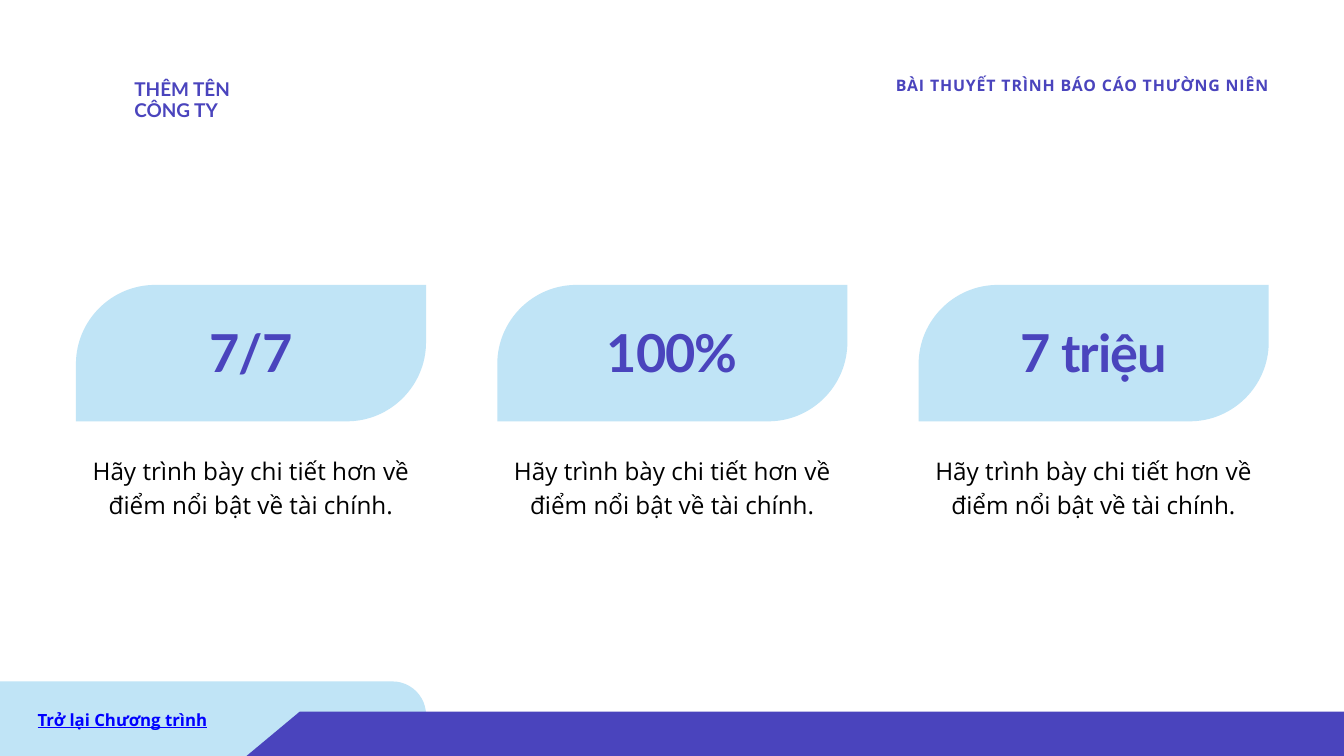
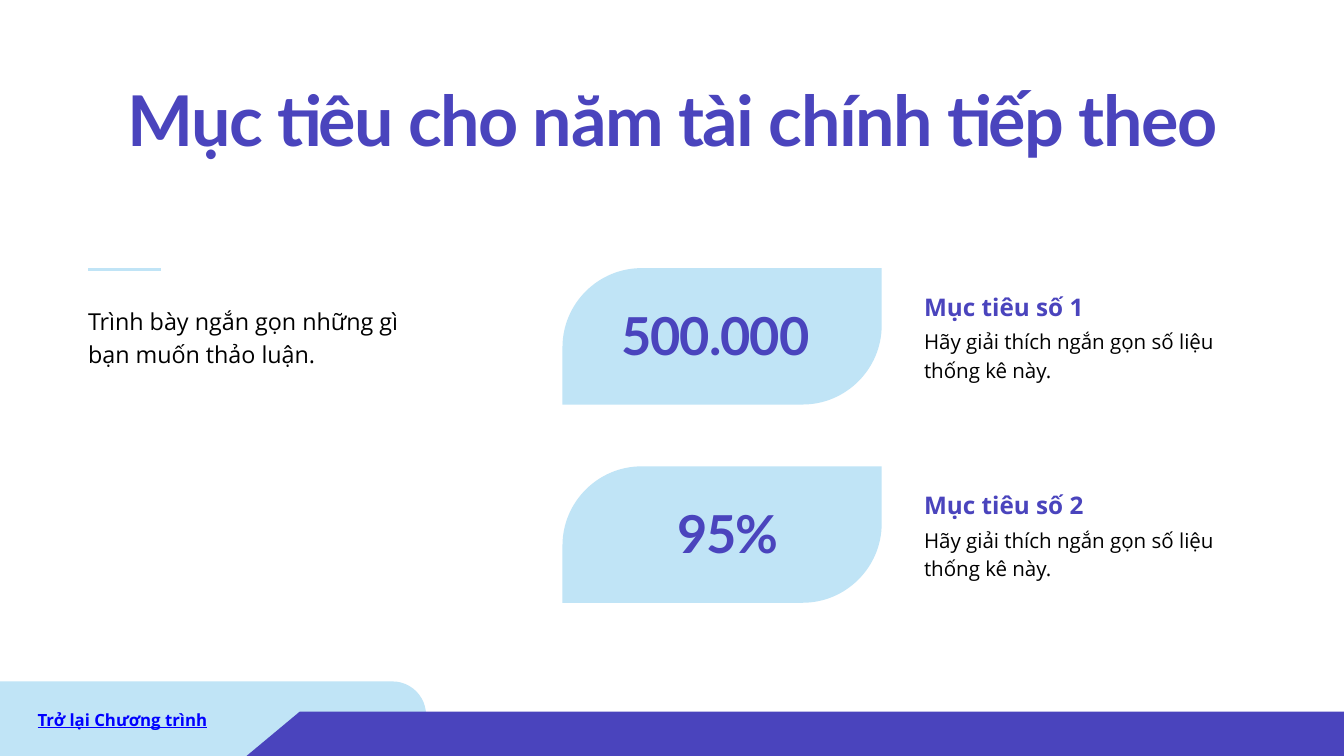
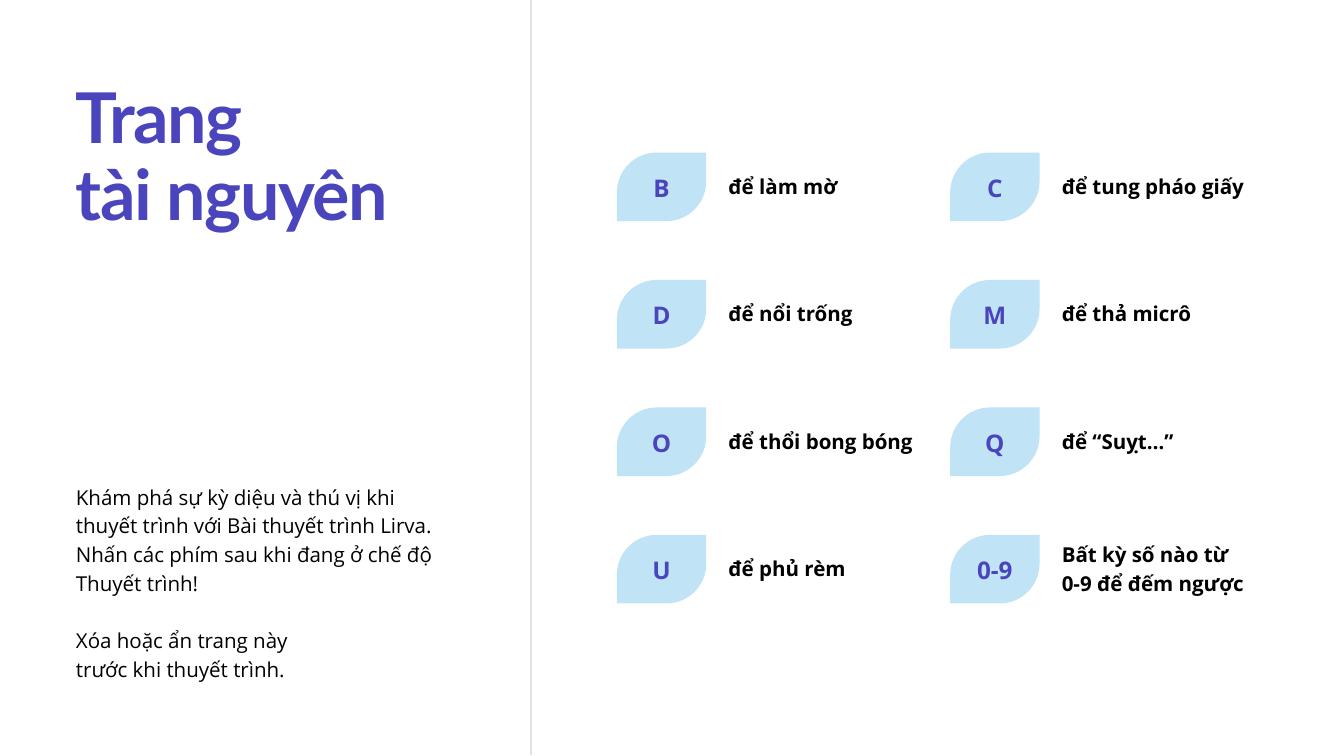
"""Build three annual-report slides: highlights, goals and presenter shortcuts."""
from lxml.etree import SubElement
from pptx import Presentation
from pptx.dml.color import RGBColor
from pptx.enum.shapes import MSO_CONNECTOR, MSO_SHAPE as SHAPE
from pptx.enum.text import MSO_ANCHOR, MSO_AUTO_SIZE, PP_ALIGN as ALIGN
from pptx.oxml.ns import qn
from pptx.util import Inches, Pt

INDIGO = RGBColor(0x4A, 0x44, 0xBD)
SKY = RGBColor(0xC0, 0xE4, 0xF6)
LINK = RGBColor(0x00, 0x00, 0xFF)
BLACK = RGBColor(0x00, 0x00, 0x00)
RULE = RGBColor(0xE1, 0xE1, 0xE1)
FONT_KEYS = ("name", "size", "color", "bold", "underline")
STYLES = {
    "title": dict(name="Lato", size=75, color=INDIGO, bold=True, line=82.5, tracking=-150),
    "figure": dict(name="Lato", size=56, color=INDIGO, bold=True, line=61.6, tracking=-110),
    "company": dict(name="Lato", size=20.3, color=INDIGO, bold=True, line=22.3),
    "header": dict(name="Open Sans", size=17, color=INDIGO, bold=True, line=20.4, tracking=90),
    "link": dict(name="Open Sans", size=18, color=LINK, bold=True, underline=True, line=23.4),
    "detail": dict(name="Open Sans", size=26, color=BLACK, bold=False, line=36.4),
    "intro": dict(name="Open Sans", size=25, color=BLACK, bold=False, line=35),
    "heading": dict(name="Open Sans", size=26, color=INDIGO, bold=True, line=36.4),
    "body": dict(name="Open Sans", size=22, color=BLACK, bold=False, line=30.8),
    "label": dict(name="Open Sans", size=22, color=BLACK, bold=True, line=30.8),
}


def write(slide, area, text, style, align=ALIGN.LEFT, holder=None):
    """Set styled lines in a placeholder, or in a new text box."""
    area = [Inches(length) for length in area]
    box = holder or slide.shapes.add_textbox(*area)
    box.left, box.top, box.width, box.height = area
    frame = box.text_frame
    settings = dict(word_wrap=True, auto_size=MSO_AUTO_SIZE.NONE, vertical_anchor=MSO_ANCHOR.TOP,
                    margin_left=0, margin_top=0, margin_right=0, margin_bottom=0)
    for key, value in settings.items():
        setattr(frame, key, value)
    look = STYLES[style]
    frame.text = text
    for paragraph in frame.paragraphs:
        if holder:
            properties = paragraph._p.get_or_add_pPr()
            properties.set("marL", "0")
            properties.set("indent", "0")
            SubElement(properties, qn("a:buNone"))
        paragraph.alignment = align
        paragraph.line_spacing = Pt(look["line"])
        paragraph.space_before = Pt(0)
        for run in paragraph.runs:
            for key in FONT_KEYS:
                if key == "color":
                    run.font.color.rgb = look[key]
                elif key in look:
                    setattr(run.font, key, Pt(look[key]) if key == "size" else look[key])
            if "tracking" in look:
                run._r.get_or_add_rPr().set("spc", str(look["tracking"]))
    return frame


def add_leaf(slide, left, top, width, height):
    """Draw a panel with its top-left and bottom-right corners rounded."""
    left, top, w, h = [Inches(length) for length in (left, top, width, height)]
    radius = int(0.58 * h)
    pull = int(0.45 * radius)
    corners = [(w, h - radius), (w - radius, h), (0, h), (0, radius), (radius, 0)]
    builder = slide.shapes.build_freeform(left + w, top)
    builder.add_line_segments([(left + x, top + y) for x, y in corners], close=True)
    leaf = builder.convert_to_shape()
    segments = list(leaf._element.iter(qn("a:lnTo")))
    for index, controls in ((1, ((w, h - pull), (w - pull, h))), (4, ((0, pull), (pull, 0)))):
        curve = SubElement(segments[index].getparent(), qn("a:cubicBezTo"))
        for x, y in (*controls, corners[index]):
            SubElement(curve, qn("a:pt"), x=str(x), y=str(y))
        segments[index].getparent().replace(segments[index], curve)
    leaf.shadow.inherit = False
    leaf.fill.solid()
    leaf.fill.fore_color.rgb = SKY
    leaf.line.fill.background()


prs = Presentation()
prs.slide_width, prs.slide_height = Inches(20), Inches(11.25)
highlights, goals, shortcuts = [prs.slides.add_slide(prs.slide_layouts[i]) for i in (6, 5, 1)]

for slide in (highlights, goals):
    for preset, area, adjustment, color in (
        (SHAPE.ROUNDED_RECTANGLE, (-0.76, 10.14, 7.1, 1.11), 0.45, SKY),
        (SHAPE.PARALLELOGRAM, (3.62, 10.59, 17.39, 0.7), 1.2, INDIGO),
    ):
        band = slide.shapes.add_shape(preset, *[Inches(length) for length in area])
        band.adjustments[0] = adjustment
        band.shadow.inherit = False
        band.fill.solid()
        band.fill.fore_color.rgb = color
        band.line.fill.background()
    write(slide, (0.56, 10.53, 2.78, 0.31), "Trở lại Chương trình", "link")

write(highlights, (2, 1.18, 2.45, 0.62), "THÊM TÊN\nCÔNG TY", "company")
write(highlights, (12.61, 1.12, 6.27, 0.28), "BÀI THUYẾT TRÌNH BÁO CÁO THƯỜNG NIÊN",
      "header", ALIGN.RIGHT)
for column, figure in enumerate(("7/7", "100%", "7 triệu")):
    left = 1.13 + 6.27 * column
    add_leaf(highlights, left, 4.24, 5.21, 2.03)
    write(highlights, (left + 0.64, 4.84, 3.93, 0.88), figure, "figure", ALIGN.CENTER)
    write(highlights, (left, 6.72, 5.21, 0.99),
          "Hãy trình bày chi tiết hơn về điểm nổi bật về tài chính.", "detail", ALIGN.CENTER)

write(goals, (1.13, 1.24, 17.75, 1.18), "Mục tiêu cho năm tài chính tiếp theo", "title",
      ALIGN.CENTER, goals.shapes.title)
write(goals, (1.31, 4.5, 5.21, 0.93), "Trình bày ngắn gọn những gì bạn muốn thảo luận.", "intro")
for row, (figure, figure_left) in enumerate((("500.000", 8.68), ("95%", 8.87))):
    top = 3.99 + 2.95 * row
    add_leaf(goals, 8.37, top, 4.75, 2.03)
    write(goals, (figure_left, top + 0.6, 3.93, 0.88), figure, "figure", ALIGN.CENTER)
    write(goals, (13.75, top + 0.28, 4.69, 0.47), f"Mục tiêu số {row + 1}", "heading")
    write(goals, (13.75, top + 0.85, 4.69, 0.82),
          "Hãy giải thích ngắn gọn số liệu thống kê này.", "body")

write(shortcuts, (1.13, 1.2, 5.57, 2.32), "Trang\ntài nguyên", "title",
      holder=shortcuts.shapes.title)
guide = write(shortcuts, (1.13, 7.15, 5.57, 2.97),
              "Khám phá sự kỳ diệu và thú vị khi thuyết trình với Bài thuyết trình Lirva. "
              "Nhấn các phím sau khi đang ở chế độ Thuyết trình!\n"
              "Xóa hoặc ẩn trang này\ntrước khi thuyết trình.",
              "body", holder=shortcuts.placeholders[1])
guide.paragraphs[1].space_before = Pt(30.8)
KEYS = (
    (("B", "để làm mờ"), ("D", "để nổi trống"), ("O", "để thổi bong bóng"), ("U", "để phủ rèm")),
    (("C", "để tung pháo giấy"), ("M", "để thả micrô"), ("Q", "để “Suỵt…”"),
     ("0-9", "Bất kỳ số nào từ\n0-9 để đếm ngược")),
)
for column, entries in enumerate(KEYS):
    left = 9.18 + 4.96 * column
    for row, (key, action) in enumerate(entries):
        top = 2.27 + 5.69 * row / 3
        label_height = 0.41 * (action.count("\n") + 1)
        add_leaf(shortcuts, left, top, 1.33, 1.02)
        write(shortcuts, (left + 0.22, top + 0.23, 0.89, 0.49), key, "heading", ALIGN.CENTER)
        write(shortcuts, (left + 1.66, top + 0.46 - label_height / 2, 2.88, label_height),
              action, "label")

for slide, ends, color, weight in (
    (goals, (1.31, 4.01, 2.39, 4.01), SKY, 3),
    (shortcuts, (7.9, -0.01, 7.9, 11.24), RULE, 1.5),
):
    rule = slide.shapes.add_connector(MSO_CONNECTOR.STRAIGHT, *[Inches(end) for end in ends])
    rule.line.color.rgb = color
    rule.line.width = Pt(weight)
    SubElement(rule._element.spPr, qn("a:effectLst"))

prs.save("out.pptx")
